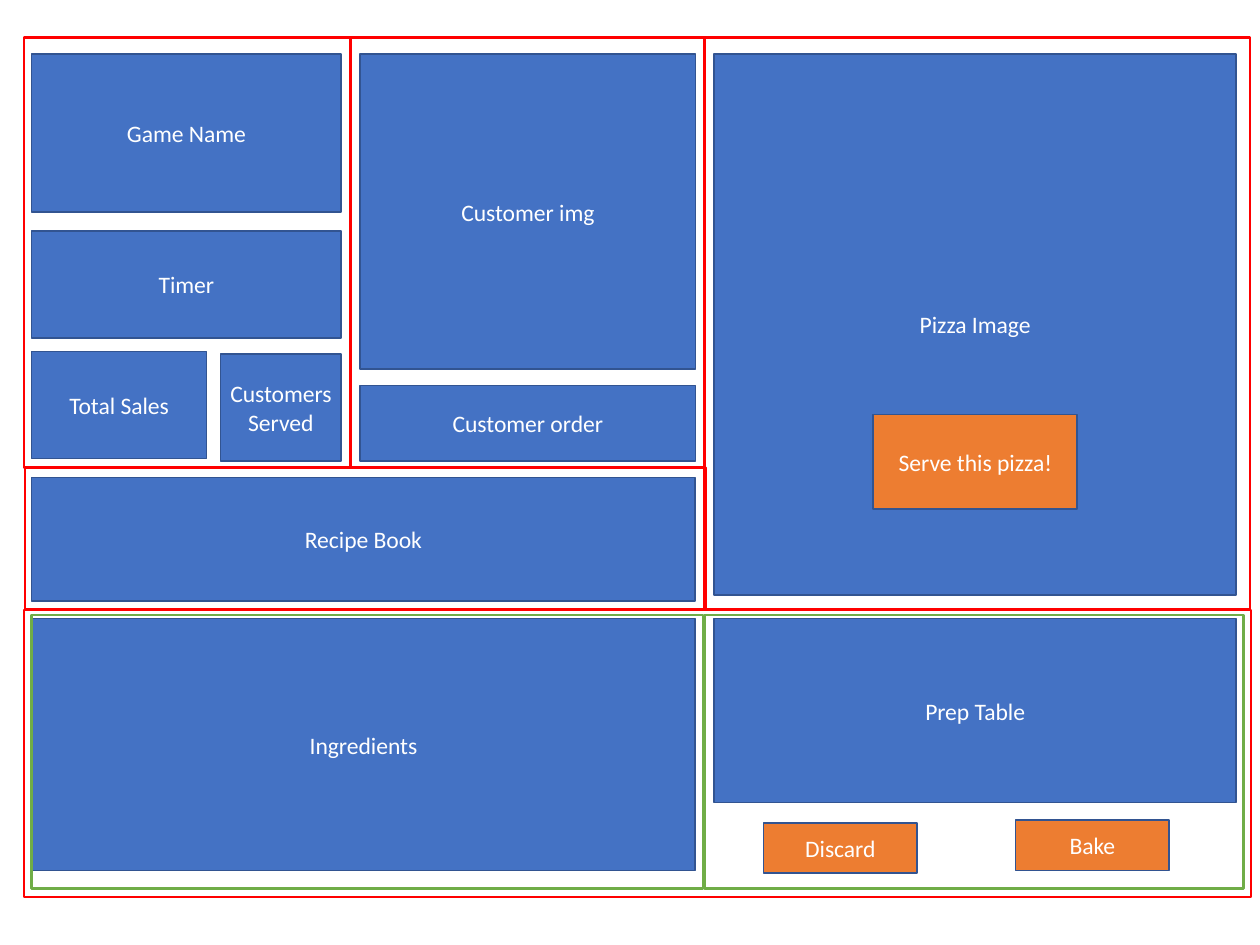
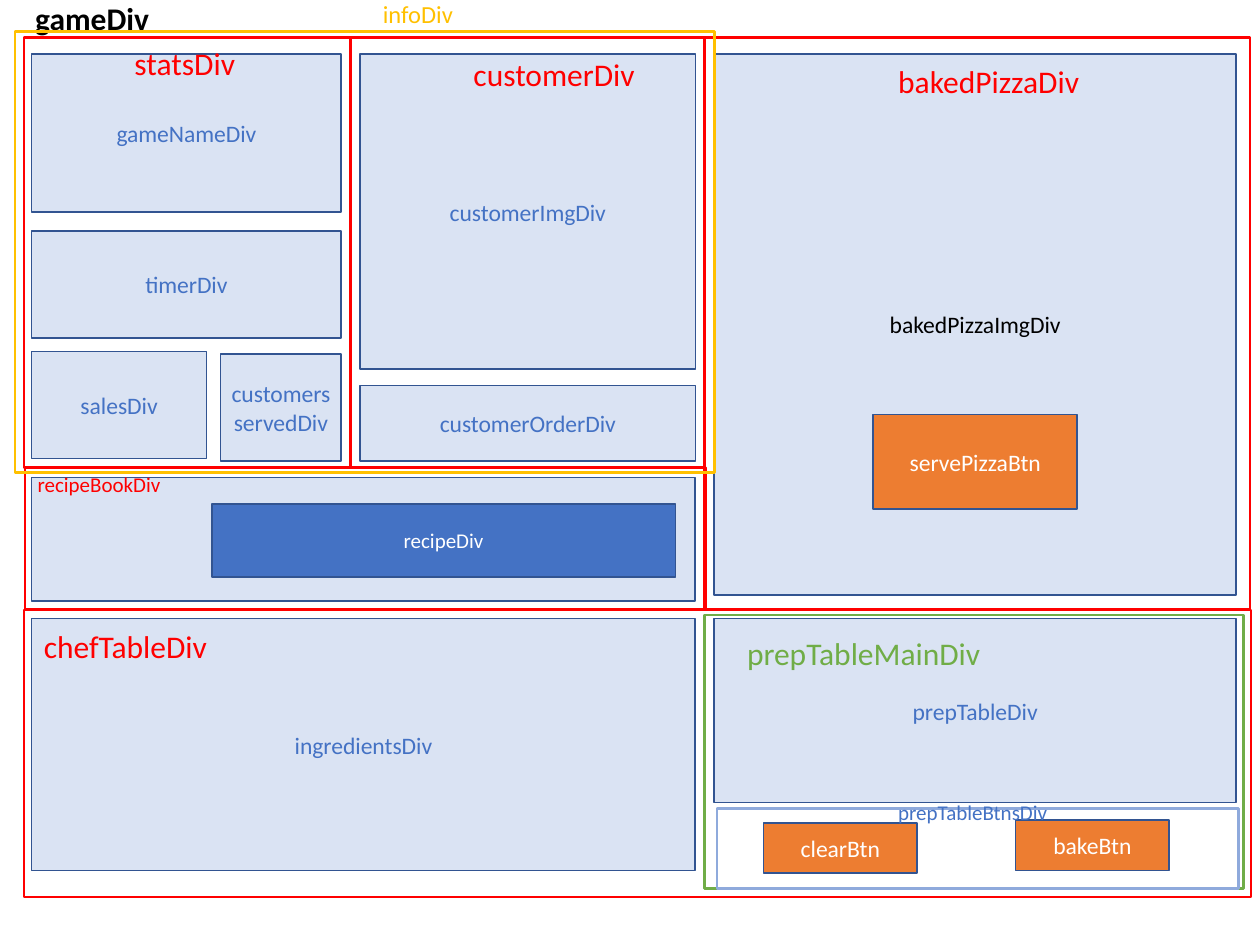
"""Build two wireframes of a pizza game screen: its areas and their element ids."""
import pptx
import pptx.dml.color
import pptx.enum.shapes
import pptx.enum.text
import pptx.util

Pt = pptx.util.Pt
BLUE, PALE, SOFT, EDGE = "4472C4", "DAE3F3", "8FAADC", "325491"
ORANGE, RED, GREEN, GOLD = "ED7D31", "FF0000", "70AD47", "FFC000"
BLACK, WHITE = "000000", "FFFFFF"

TOP, TABLE_TOP = 31, 353.5
LEFT, MIDDLE, RIGHT = 18, 205.9, 408.2
PANELS = {
    "recipe book": (LEFT, 272.9, 379.4, 70.6),
    "ingredients": (LEFT, TABLE_TOP, 379.4, 144),
    "customer": (MIDDLE, TOP, 191.5, 180),
    "order": (MIDDLE, 220.3, 191.5, 43.2),
    "pizza": (RIGHT, TOP, 298.1, 308.9),
    "prep table": (RIGHT, TABLE_TOP, 298.1, 105.1),
    "bake": (580.3, 468.7, 87.8, 28.8),
    "serve": (499, 236.9, 116.6, 54),
    "discard": (436.3, 470.2, 87.8, 28.8),
    "game": (LEFT, TOP, 177.1, 90),
    "timer": (LEFT, 131.8, 177.1, 61.2),
    "sales": (LEFT, 200.9, 100.1, 61.2),
    "served": (126, 202.3, 69.1, 61.2),
}
BUTTONS = {"bake", "serve", "discard"}
SECTIONS = [
    (13.7, 21.6, 186.5, 245.5),
    (200.2, 21.6, 202.3, 245.5),
    (14.4, 267.1, 388.8, 81.4),
    (13.7, 348.5, 701.3, 164.2),
    (402.5, 21.6, 311.8, 326.9),
]
PREP_FRAME = (402.5, 351.4, 308.2, 156.2)
INGREDIENTS_FRAME = (18, 351.4, 383.8, 156.2)

SCREEN_NAMES = {
    "recipe book": "Recipe Book", "ingredients": "Ingredients",
    "customer": "Customer img", "order": "Customer order",
    "pizza": "Pizza Image", "prep table": "Prep Table",
    "bake": "Bake", "serve": "Serve this pizza!", "discard": "Discard",
    "game": "Game Name", "timer": "Timer", "sales": "Total Sales",
    "served": "Customers Served",
}
ELEMENT_IDS = {
    "recipe book": "", "ingredients": "ingredientsDiv",
    "customer": "customerImgDiv", "order": "customerOrderDiv",
    "pizza": "bakedPizzaImgDiv", "prep table": "prepTableDiv",
    "bake": "bakeBtn", "serve": "servePizzaBtn", "discard": "clearBtn",
    "game": "gameNameDiv", "timer": "timerDiv", "sales": "salesDiv",
    "served": "customers\nservedDiv",
}
SECTION_LABELS = [
    ("statsDiv", (69.8, 21.6, 74.2, 28.8), 18, RED),
    ("customerDiv", (263.5, 28.1, 118.1, 28.8), 18, RED),
    ("bakedPizzaDiv", (506.2, 31.7, 118.1, 28.8), 18, RED),
    ("recipeBookDiv", (14.4, 265.7, 121.7, 21.6), 12, RED),
    ("chefTableDiv", (18, 355, 121.7, 28.8), 18, RED),
    ("prepTableMainDiv", (419.8, 358.6, 160.6, 28.8), 18, GREEN),
]


def rgb(code):
    """Return a hex string as a colour."""
    return pptx.dml.color.RGBColor.from_string(code)


def assign(obj, values):
    """Set each named attribute of an object."""
    for name, value in values.items():
        setattr(obj, name, value)


class Wireframe:
    """Hold the style and the current slide of the deck."""

    font = "Calibri"
    tight = {"margin_left": Pt(5.4), "margin_right": Pt(5.4),
             "margin_top": Pt(2.7), "margin_bottom": Pt(2.7)}

    def __init__(self, prs):
        """Start with no slide."""
        self.prs = prs
        self.slide = None

    def new_slide(self):
        """Add a blank slide and make it current."""
        self.slide = self.prs.slides.add_slide(self.prs.slide_layouts[6])

    def set_text(self, tf, text, size, color, align=None, bold=None):
        """Fill a text frame, one paragraph to a line."""
        tf.text = text
        tf.word_wrap = True
        for p in tf.paragraphs:
            p.alignment = align
            for r in p.runs:
                assign(r.font, {"name": self.font, "size": Pt(size), "bold": bold})
                r.font.color.rgb = rgb(color)

    def rect(self, box, line, width):
        """Add a rectangle without shadow or fill."""
        sp = self.slide.shapes.add_shape(
            pptx.enum.shapes.MSO_SHAPE.RECTANGLE, *map(Pt, box))
        sp.shadow.inherit = False
        sp.fill.background()
        sp.line.color.rgb = rgb(line)
        sp.line.width = Pt(width)
        return sp

    def frame(self, box, color):
        """Add an empty outline around an area."""
        self.rect(box, color, 1.5)

    def panel(self, text, box, fill, color, size=13.5, margins=tight):
        """Add a filled rectangle with centred text."""
        sp = self.rect(box, EDGE, 1)
        sp.fill.solid()
        sp.fill.fore_color.rgb = rgb(fill)
        tf = sp.text_frame
        assign(tf, {"vertical_anchor": pptx.enum.text.MSO_ANCHOR.MIDDLE, **margins})
        if text:
            self.set_text(tf, text, size, color, pptx.enum.text.PP_ALIGN.CENTER)

    def label(self, text, box, size, color, bold=None):
        """Add a text box that grows with its text."""
        tf = self.slide.shapes.add_textbox(*map(Pt, box)).text_frame
        self.set_text(tf, text, size, color, bold=bold)
        tf.auto_size = pptx.enum.text.MSO_AUTO_SIZE.SHAPE_TO_FIT_TEXT

    def screen(self, names, fill, color, special):
        """Add a slide with all panels, the sections and the prep frame."""
        self.new_slide()
        for key, box in PANELS.items():
            if key in BUTTONS:
                self.panel(names[key], box, ORANGE, WHITE)
            else:
                self.panel(names[key], box, fill, special.get(key, color))
        for box in SECTIONS:
            self.frame(box, RED)
        self.frame(PREP_FRAME, GREEN)


def main():
    """Build both slides and save the deck."""
    prs = pptx.Presentation()
    assign(prs, {"slide_width": Pt(720), "slide_height": Pt(540)})
    w = Wireframe(prs)

    w.screen(SCREEN_NAMES, BLUE, WHITE, {})
    w.frame(INGREDIENTS_FRAME, GREEN)

    w.screen(ELEMENT_IDS, PALE, BLUE, {"pizza": BLACK})
    for text, box, size, color in SECTION_LABELS:
        w.label(text, box, size, color)
    w.frame((409.7, 462.2, 298.1, 45.4), SOFT)
    w.label("prepTableBtnsDiv", (506.2, 453.6, 160.6, 21.6), 12, BLUE)
    w.panel("recipeDiv", (121, 288, 265, 41.8), BLUE, WHITE, 12, {})
    w.label("gameDiv", (13, -4.3, 152.6, 28.8), 18, BLACK, True)
    w.frame((8.6, 18, 399.6, 252), GOLD)
    w.label("infoDiv", (211.7, -4.3, 152.6, 24.5), 14, GOLD)

    prs.save("out.pptx")


if __name__ == "__main__":
    main()
